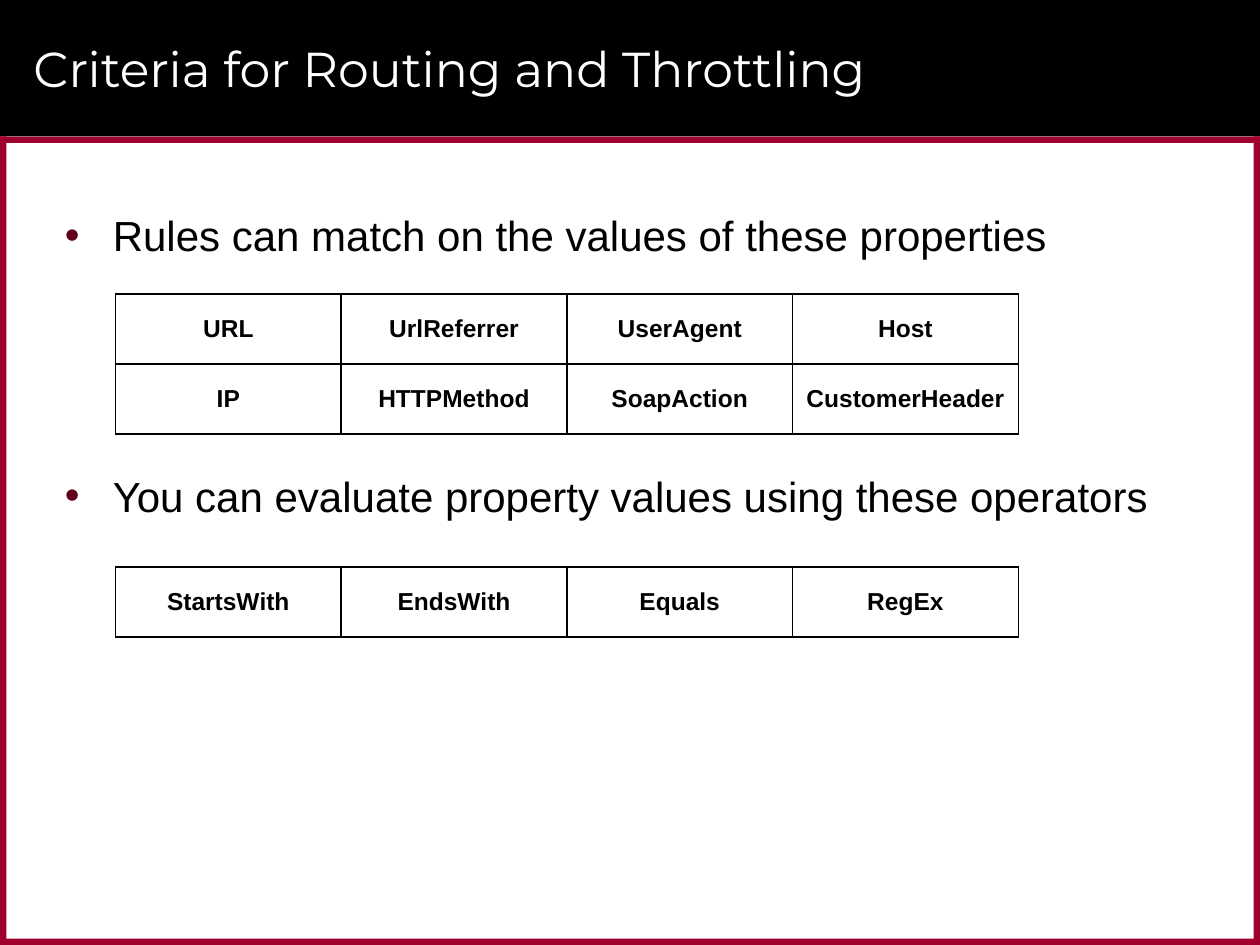
import pptx
import pptx.dml.color
import pptx.enum.shapes
import pptx.enum.text
import pptx.util
from lxml import etree

INK, PAPER, RED, WINE = "000000", "FFFFFF", "9F002D", "60001B"
NS = "http://schemas.openxmlformats.org/drawingml/2006/main"
MID = pptx.enum.text.MSO_ANCHOR.MIDDLE


def tint(code):
    """Turn a hex string into a colour."""
    return pptx.dml.color.RGBColor.from_string(code)


def node(root, tag, **attrs):
    """Add a drawing element under a root."""
    return etree.SubElement(root, f"{{{NS}}}{tag}", **attrs)


class Deck:
    """Hold the style and the current slide, on a 24 by 18 grid."""

    cols, rows, font = 24, 18, "Arial"

    def __init__(self):
        """Open a deck with one blank slide."""
        self.prs = pptx.Presentation()
        self.prs.slide_width = pptx.util.Inches(10)
        self.prs.slide_height = pptx.util.Inches(7.5)
        self.slide = self.prs.slides.add_slide(self.prs.slide_layouts[6])

    def place(self, x, y, w, h):
        """Turn grid units into lengths."""
        dx = self.prs.slide_width / self.cols
        dy = self.prs.slide_height / self.rows
        return [round(v) for v in (x * dx, y * dy, w * dx, h * dy)]

    def bar(self, box, fill):
        """Draw a plain filled bar."""
        kind = pptx.enum.shapes.MSO_SHAPE.RECTANGLE
        shape = self.slide.shapes.add_shape(kind, *self.place(*box))
        shape.shadow.inherit = False
        shape.fill.solid()
        shape.fill.fore_color.rgb = tint(fill)
        shape.line.fill.background()

    def label(self, para, text, size, color=INK, font=None, bold=False):
        """Add one styled run."""
        run = para.add_run()
        run.text = text
        run.font.size = pptx.util.Pt(size)
        run.font.name = font or self.font
        run.font.bold = bold
        run.font.color.rgb = tint(color)

    def frame(self, box):
        """Add a wrapping text box."""
        frame = self.slide.shapes.add_textbox(*self.place(*box)).text_frame
        frame.word_wrap = True
        return frame

    def title(self, box, text):
        """Set the slide title."""
        frame = self.frame(box)
        frame.vertical_anchor = MID
        self.label(frame.paragraphs[0], text, 28, PAPER, "Montserrat")

    def points(self, box, lines, gap):
        """Set bullet points apart by a gap."""
        frame = self.frame(box)
        indent = pptx.util.Inches(0.38)
        for i, line in enumerate(lines):
            para = frame.add_paragraph() if i else frame.paragraphs[0]
            if i:
                para.space_before = pptx.util.Pt(gap)
            props = para._p.get_or_add_pPr()
            props.set("marL", str(indent))
            props.set("indent", str(-indent))
            node(node(props, "buClr"), "srgbClr", val=WINE)
            node(props, "buFont", typeface=self.font)
            node(props, "buChar", char="•")
            self.label(para, line, 24)

    def edge(self, cell):
        """Rule all four sides of a cell."""
        props = cell._tc.get_or_add_tcPr()
        for side in "LRTB":
            line = node(props, "ln" + side, w=str(pptx.util.Pt(1)))
            node(node(line, "solidFill"), "srgbClr", val=INK)

    def table(self, x, y, wide, high, data):
        """Draw a ruled table with cells of one size."""
        box = self.place(x, y, wide * len(data[0]), high * len(data))
        table = self.slide.shapes.add_table(len(data), len(data[0]), *box).table
        table.first_row = table.horz_banding = False
        for r, row in enumerate(data):
            for c, text in enumerate(row):
                cell = table.cell(r, c)
                self.edge(cell)
                cell.fill.background()
                cell.vertical_anchor = MID
                cell.margin_left = cell.margin_right = pptx.util.Inches(0.05)
                para = cell.text_frame.paragraphs[0]
                para.alignment = pptx.enum.text.PP_ALIGN.CENTER
                self.label(para, text, 14, bold=True)


def main():
    """Build the slide and save it."""
    deck = Deck()
    top, rim = 2.6, 0.12
    tall = deck.rows - top
    deck.bar((0, 0, deck.cols, top), INK)
    for y in (top, deck.rows - rim):
        deck.bar((0, y, deck.cols, rim), RED)
    for x in (deck.cols - rim, 0):
        deck.bar((x, top, rim, tall), RED)

    deck.title((0.4, 0.2, 22.6, 2.2), "Criteria for Routing and Throttling")
    deck.points((1, 3.88, 22, 13.5), [
        "Rules can match on the values of these properties",
        "You can evaluate property values using these operators",
    ], 120)
    wide, high = 4.3, 4 / 3
    deck.table(2.2, 5.6, wide, high, [
        ["URL", "UrlReferrer", "UserAgent", "Host"],
        ["IP", "HTTPMethod", "SoapAction", "CustomerHeader"],
    ])
    deck.table(2.2, 10.8, wide, high, [
        ["StartsWith", "EndsWith", "Equals", "RegEx"],
    ])
    deck.prs.save("out.pptx")


if __name__ == "__main__":
    main()
